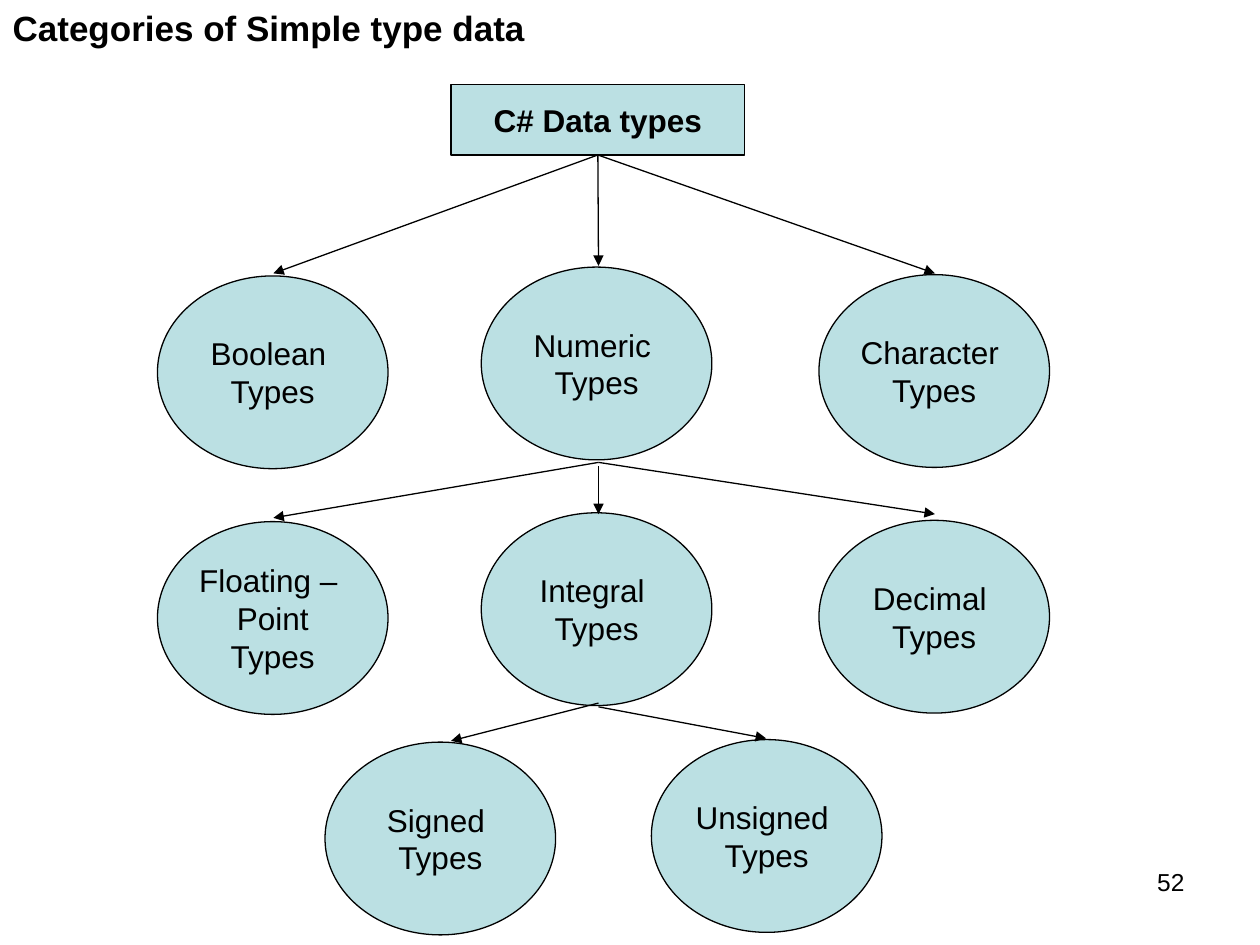
"""Build a slide with a tree of C# simple data types."""
from lxml import etree
from pptx import Presentation
from pptx.dml.color import RGBColor
from pptx.enum.shapes import MSO_CONNECTOR, MSO_SHAPE
from pptx.enum.text import MSO_ANCHOR, MSO_AUTO_SIZE, PP_ALIGN
from pptx.oxml.ns import qn
from pptx.util import Inches, Pt

RECTANGLE, OVAL = MSO_SHAPE.RECTANGLE, MSO_SHAPE.OVAL
STRAIGHT = MSO_CONNECTOR.STRAIGHT
LEFT, CENTER, RIGHT = PP_ALIGN.LEFT, PP_ALIGN.CENTER, PP_ALIGN.RIGHT
TOP, MIDDLE = MSO_ANCHOR.TOP, MSO_ANCHOR.MIDDLE
BOTTOM_SIDE = 2

BLACK, PALE_TEAL = "000000", "BBE0E3"
OVAL_WIDTH, OVAL_HEIGHT = 1.83, 1.53
COLUMN_LEFT = [1.25, 3.82, 6.5, 2.58, 5.17]
COLUMN_DROP = [0.07, 0, 0.06, 0.02, 0]
ROW_TOP = [2.12, 4.07, 5.87]
TRUNK = 4.75

TYPES = [
    (0, 0, "Boolean \nTypes"),
    (0, 1, "Numeric \nTypes"),
    (0, 2, "Character \nTypes"),
    (1, 0, "Floating – \nPoint\nTypes"),
    (1, 1, "Integral \nTypes"),
    (1, 2, "Decimal \nTypes"),
    (2, 3, "Signed \nTypes"),
    (2, 4, "Unsigned \nTypes"),
]
ROOT_ARROW_ENDS = [(2.17, 2.17), (TRUNK, 2.11), (7.42, 2.17)]
BRANCH_ARROWS = [
    (3.7, TRUNK, 4.08),
    (3.67, 2.17, 4.11),
    (3.67, 7.42, 4.08),
    (5.58, 3.58, 5.88),
    (5.61, 6.08, 5.86),
]


def color(value):
    """Turn a hex string into a colour."""
    return RGBColor.from_string(value)


def place(shape, left, top, width, height):
    """Move and size a shape, in inches."""
    shape.left, shape.top = Inches(left), Inches(top)
    shape.width, shape.height = Inches(width), Inches(height)


def write(shape, text, size, alignment, anchor, bold=False, wrap=True):
    """Fill a shape with Arial text, one paragraph for each line."""
    frame = shape.text_frame
    frame.text = text
    frame.word_wrap = wrap
    frame.auto_size = MSO_AUTO_SIZE.NONE
    frame.vertical_anchor = anchor
    for paragraph in frame.paragraphs:
        paragraph.alignment = alignment
        paragraph.space_before = Pt(0)
        paragraph.font.name = "Arial"
        paragraph.font.size = Pt(size)
        paragraph.font.bold = bold
        paragraph.font.color.rgb = color(BLACK)


def add_node(slide, kind, left, top, width, height, text, bold=False):
    """Add one outlined node of the tree."""
    shape = slide.shapes.add_shape(
        kind, Inches(left), Inches(top), Inches(width), Inches(height))
    shape.shadow.inherit = False
    shape.fill.solid()
    shape.fill.fore_color.rgb = color(PALE_TEAL)
    shape.line.color.rgb = color(BLACK)
    shape.line.width = Pt(0.75)
    write(shape, text, 18, CENTER, MIDDLE, bold, wrap=False)
    return shape


def add_arrow(slide, start_y, end_x, end_y):
    """Add an arrow from the trunk to a child node."""
    arrow = slide.shapes.add_connector(
        STRAIGHT, Inches(TRUNK), Inches(start_y), Inches(end_x), Inches(end_y))
    arrow.line.color.rgb = color(BLACK)
    arrow.line.width = Pt(0.75)
    properties = arrow.line._get_or_add_ln()
    etree.SubElement(properties, qn("a:tailEnd"), type="triangle")
    etree.SubElement(arrow._element.spPr, qn("a:effectLst"))
    return arrow


def main():
    """Build and save the slide."""
    presentation = Presentation()
    presentation.slide_width, presentation.slide_height = Inches(10), Inches(7.5)
    slide = presentation.slides.add_slide(presentation.slide_layouts[5])

    title = slide.shapes.title
    place(title, 0, 0, 5.5, 0.44)
    write(title, "Categories of Simple type data", 20, LEFT, TOP, bold=True)

    number = slide.shapes.add_textbox(0, 0, 0, 0)
    place(number, 7.17, 6.83, 2.33, 0.52)
    write(number, "52", 14, RIGHT, TOP)

    root = add_node(slide, RECTANGLE, 3.58, 0.67, 2.33, 0.56,
                    "C# Data types", bold=True)
    for row, column, text in TYPES:
        add_node(slide, OVAL, COLUMN_LEFT[column],
                 ROW_TOP[row] + COLUMN_DROP[column],
                 OVAL_WIDTH, OVAL_HEIGHT, text)

    for end_x, end_y in ROOT_ARROW_ENDS:
        arrow = add_arrow(slide, 1.23, end_x, end_y)
        arrow.begin_connect(root, BOTTOM_SIDE)
    for start_y, end_x, end_y in BRANCH_ARROWS:
        add_arrow(slide, start_y, end_x, end_y)

    presentation.save("out.pptx")


if __name__ == "__main__":
    main()
